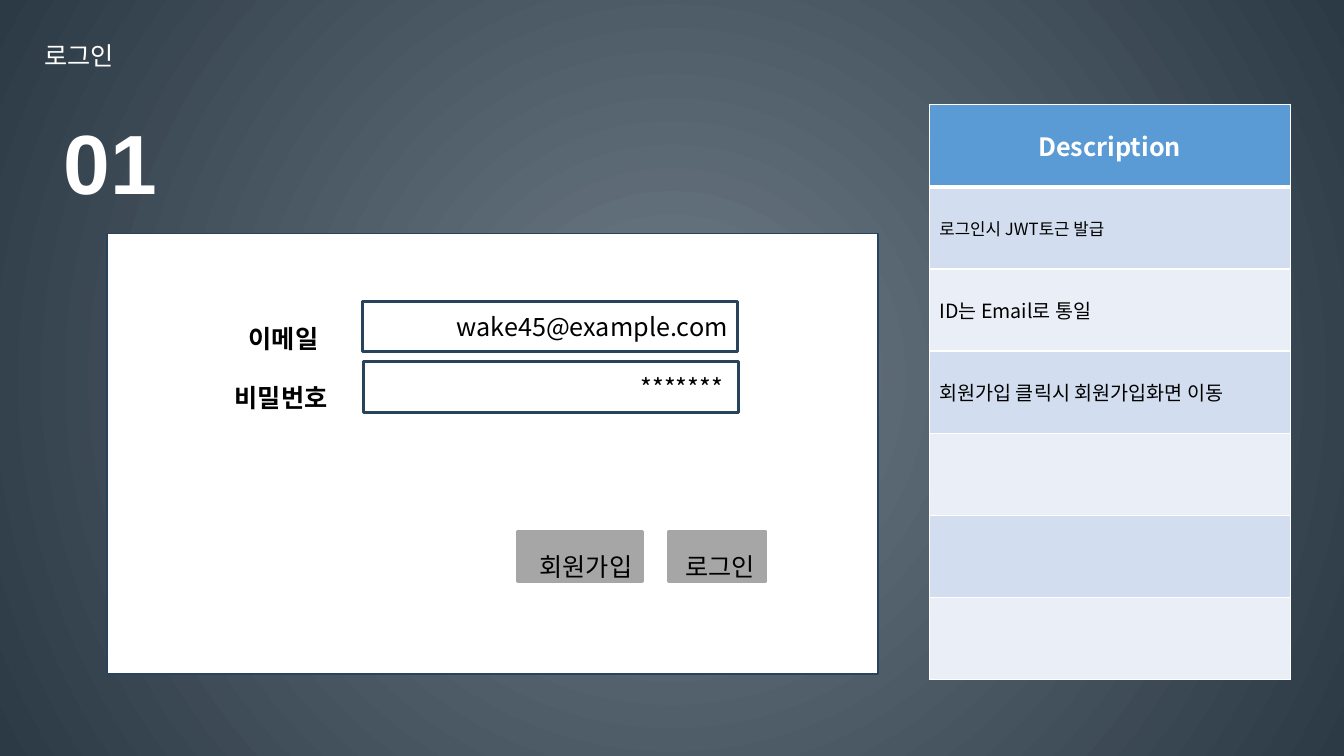
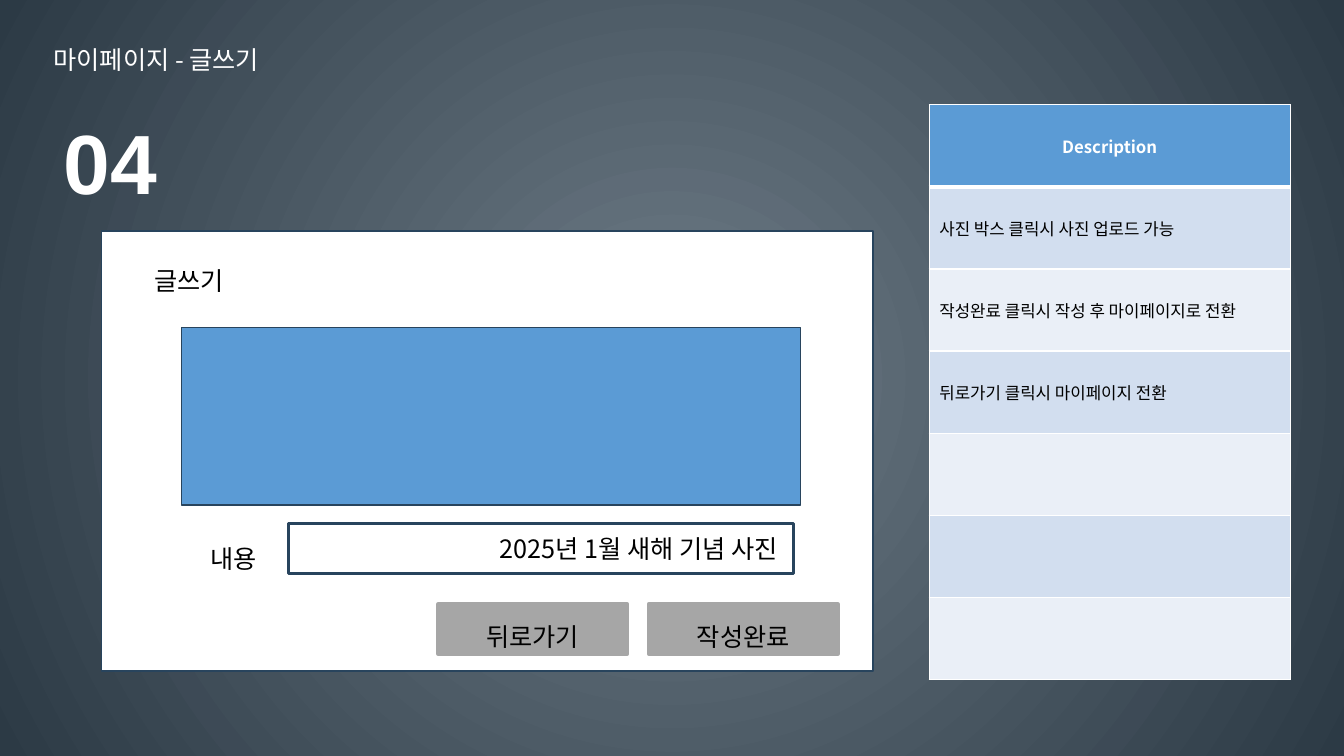
"""Build two screen-plan slides: a login form and a post-writing form."""
from lxml import etree
from pptx import Presentation
from pptx.dml.color import RGBColor
from pptx.enum.shapes import MSO_SHAPE
from pptx.enum.text import MSO_ANCHOR, MSO_AUTO_SIZE, PP_ALIGN
from pptx.oxml import parse_xml
from pptx.oxml.ns import nsdecls, qn
from pptx.util import Pt

RECT = MSO_SHAPE.RECTANGLE
TOP, MID = MSO_ANCHOR.TOP, MSO_ANCHOR.MIDDLE
LEFT, MIDST, RIGHT = PP_ALIGN.LEFT, PP_ALIGN.CENTER, PP_ALIGN.RIGHT
GROW, FIXED = MSO_AUTO_SIZE.SHAPE_TO_FIT_TEXT, MSO_AUTO_SIZE.NONE

FACE = "Noto Sans CJK KR"
HEX = {
    "white": "FFFFFF", "black": "000000", "navy": "28445D", "blue": "5B9BD5",
    "gray": "A6A6A6", "band": "D2DEEF", "pale": "EAEFF7",
    "glow": "6E7C87", "dusk": "2C3A45",
}
INSET = 7.2
LINE = 36
PANEL = (550.8, 314.6)
TABLE = (663.8, 74.9, 257.8, 410.4)
ROWS = 7

STYLES = {
    "panel": dict(fill="white", line="navy", width=1),
    "photo": dict(fill="blue", line="navy", width=1),
    "field": dict(line="navy", width=2.25, align=RIGHT, anchor=MID),
    "tight": dict(fill="gray", line="gray", width=2.25, align=RIGHT, gap=1.5, fit=GROW),
    "button": dict(fill="gray", line="gray", width=3, align=MIDST, anchor=MID, gap=1.5, fit=GROW),
    "label": dict(gap=1.5, fit=GROW),
    "strong": dict(gap=1.5, fit=GROW, bold=True),
}

SLIDES = [
    dict(
        title="로그인", place=(24.5, 14.4), number="01", head=18,
        notes=[("로그인시 JWT토근 발급", 12), ("ID는 Email로 통일", 14),
               ("회원가입 클릭시 회원가입화면 이동", 14)],
        parts=[
            ("panel", "", (76.3, 167, *PANEL)),
            ("tight", "로그인", (477.4, 379.4, 69.1, LINE)),
            ("tight", "회원가입", (369.4, 379.4, 89.3, LINE)),
            ("strong", "이메일", (170.6, 216.7, 85, LINE)),
            ("field", "wake45@example.com", (259.2, 215.3, 267.8, LINE)),
            ("strong", "비밀번호", (160.6, 258.5, 95, LINE)),
            ("field", "*******", (259.9, 258.5, 267.8, LINE), 4),
        ],
    ),
    dict(
        title="마이페이지 - 글쓰기", place=(31, 17.3), number="04", head=12,
        notes=[("사진 박스 클릭시 사진 업로드 가능", 12),
               ("작성완료 클릭시 작성 후 마이페이지로 전환", 12),
               ("뒤로가기 클릭시 마이페이지 전환", 12)],
        parts=[
            ("panel", "", (72.7, 164.9, *PANEL)),
            ("label", "글쓰기", (103, 175, 300, LINE)),
            ("button", "뒤로가기", (313.2, 431.3, 134.6, LINE)),
            ("button", "작성완료", (463.7, 431.3, 134.6, LINE)),
            ("label", "내용", (143.3, 373.7, 59, LINE)),
            ("field", "2025년 1월 새해 기념 사진", (205.9, 373.7, 360.7, LINE), 4),
            ("photo", "", (129.6, 234, 442.1, 126.7)),
        ],
    ),
]


def tint(name):
    return RGBColor.from_string(HEX[name])


def write(frame, text, size=18, color="black", bold=False, face=FACE, align=LEFT, gap=None):
    para = frame.paragraphs[0]
    para.text = text
    para.alignment = align
    if gap:
        para.line_spacing = gap
    font = para.font
    font.name, font.size, font.bold = face, Pt(size), bold
    font.color.rgb = tint(color)
    etree.SubElement(font._element, qn("a:ea"), typeface=face)


def setup(frame, anchor=TOP, fit=FIXED, pad=0):
    frame.word_wrap = True
    frame.auto_size = fit
    frame.vertical_anchor = anchor
    frame.margin_right = Pt(INSET + pad)


def draw(slide, kind, text, box, pad=0):
    look = dict(STYLES[kind])
    fill, line, width = (look.pop(key, None) for key in ("fill", "line", "width"))
    anchor, fit = look.pop("anchor", TOP), look.pop("fit", FIXED)
    box = [Pt(side) for side in box]
    if line:
        shape = slide.shapes.add_shape(RECT, *box)
        shape.shadow.inherit = False
        shape.line.color.rgb = tint(line)
        shape.line.width = Pt(width)
        if fill:
            shape.fill.solid()
            shape.fill.fore_color.rgb = tint(fill)
        else:
            shape.fill.background()
    else:
        shape = slide.shapes.add_textbox(*box)
    if text:
        setup(shape.text_frame, anchor, fit, pad)
        write(shape.text_frame, text, **look)


def edge(cell, side, width):
    cell._tc.get_or_add_tcPr().append(parse_xml(
        f'<a:{side} {nsdecls("a")} w="{Pt(width)}"><a:solidFill>'
        f'<a:srgbClr val="{HEX["white"]}"/></a:solidFill></a:{side}>'))


def add_notes(slide, head, notes):
    table = slide.shapes.add_table(ROWS, 1, *map(Pt, TABLE)).table
    for index in range(ROWS):
        table.rows[index].height = Pt(TABLE[3] / ROWS)
        cell = table.cell(index, 0)
        cell.vertical_anchor = MID
        for side in ("lnL", "lnR", "lnT", "lnB"):
            thick = (index, side) in ((0, "lnB"), (1, "lnT"))
            edge(cell, side, 3 if thick else 1)
        cell.fill.solid()
        shade = "blue" if index == 0 else "band" if index % 2 else "pale"
        cell.fill.fore_color.rgb = tint(shade)
        if index == 0:
            write(cell.text_frame, "Description", head, "white", True, align=MIDST)
        elif index <= len(notes):
            write(cell.text_frame, *notes[index - 1])


def paint(master):
    base = master.element.cSld
    base.remove(base.find(qn("p:bg")))
    stops = "".join(f'<a:gs pos="{spot}"><a:srgbClr val="{HEX[name]}"/></a:gs>'
                    for spot, name in ((0, "glow"), (100000, "dusk")))
    base.insert(0, parse_xml(
        f'<p:bg {nsdecls("p", "a")}><p:bgPr><a:gradFill rotWithShape="1">'
        f'<a:gsLst>{stops}</a:gsLst><a:path path="circle">'
        '<a:fillToRect l="50000" t="50000" r="50000" b="50000"/></a:path>'
        '</a:gradFill><a:effectLst/></p:bgPr></p:bg>'))


def build(deck, page):
    slide = deck.slides.add_slide(deck.slide_layouts[5])
    title = slide.shapes.title
    title.left, title.top = map(Pt, page["place"])
    title.width, title.height = Pt(633.6), Pt(LINE)
    setup(title.text_frame, fit=GROW)
    write(title.text_frame, page["title"], color="white", gap=1.5)
    number = slide.shapes.add_textbox(Pt(38.2), Pt(39.6), Pt(85), Pt(102.2))
    setup(number.text_frame, fit=GROW)
    write(number.text_frame, page["number"], 60, "white", True, "Arial", gap=1.5)
    add_notes(slide, page["head"], page["notes"])
    for part in page["parts"]:
        draw(slide, *part)


def main():
    deck = Presentation()
    deck.slide_width, deck.slide_height = Pt(960), Pt(540)
    paint(deck.slide_master)
    for page in SLIDES:
        build(deck, page)
    deck.save("out.pptx")


if __name__ == "__main__":
    main()
